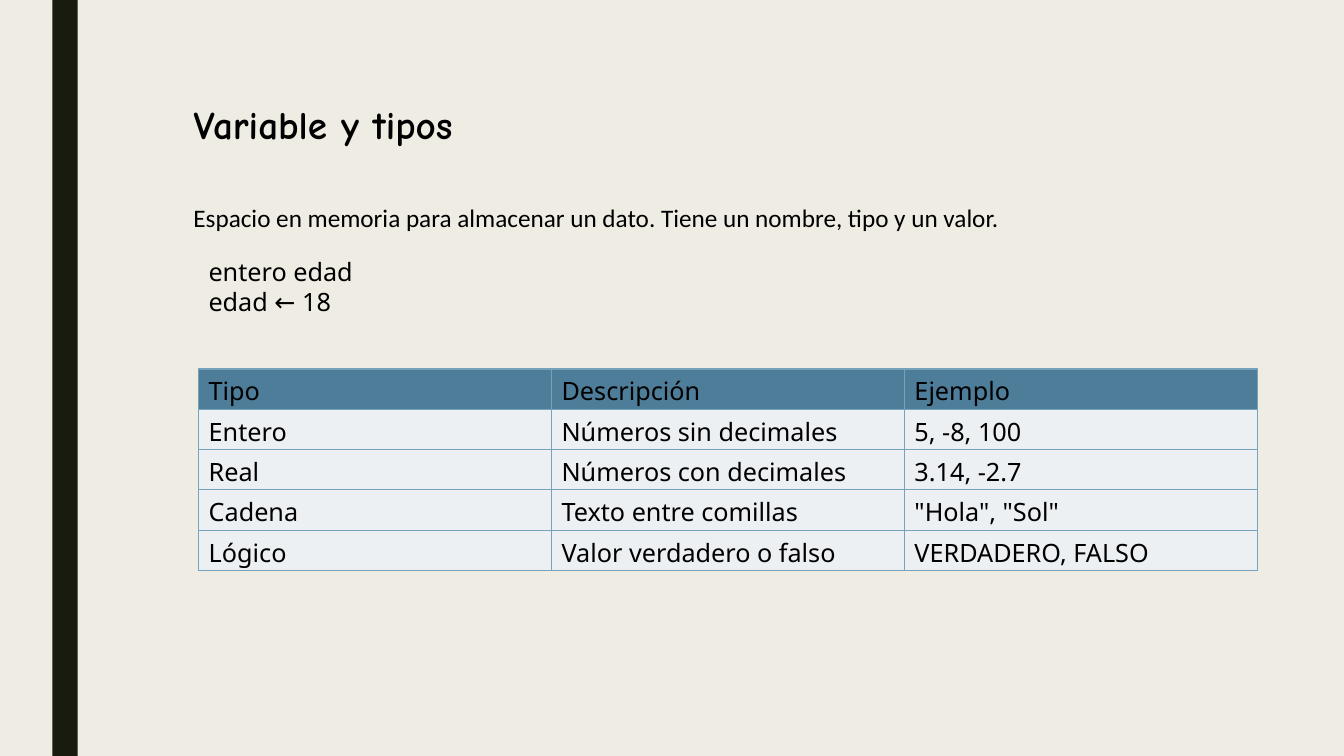
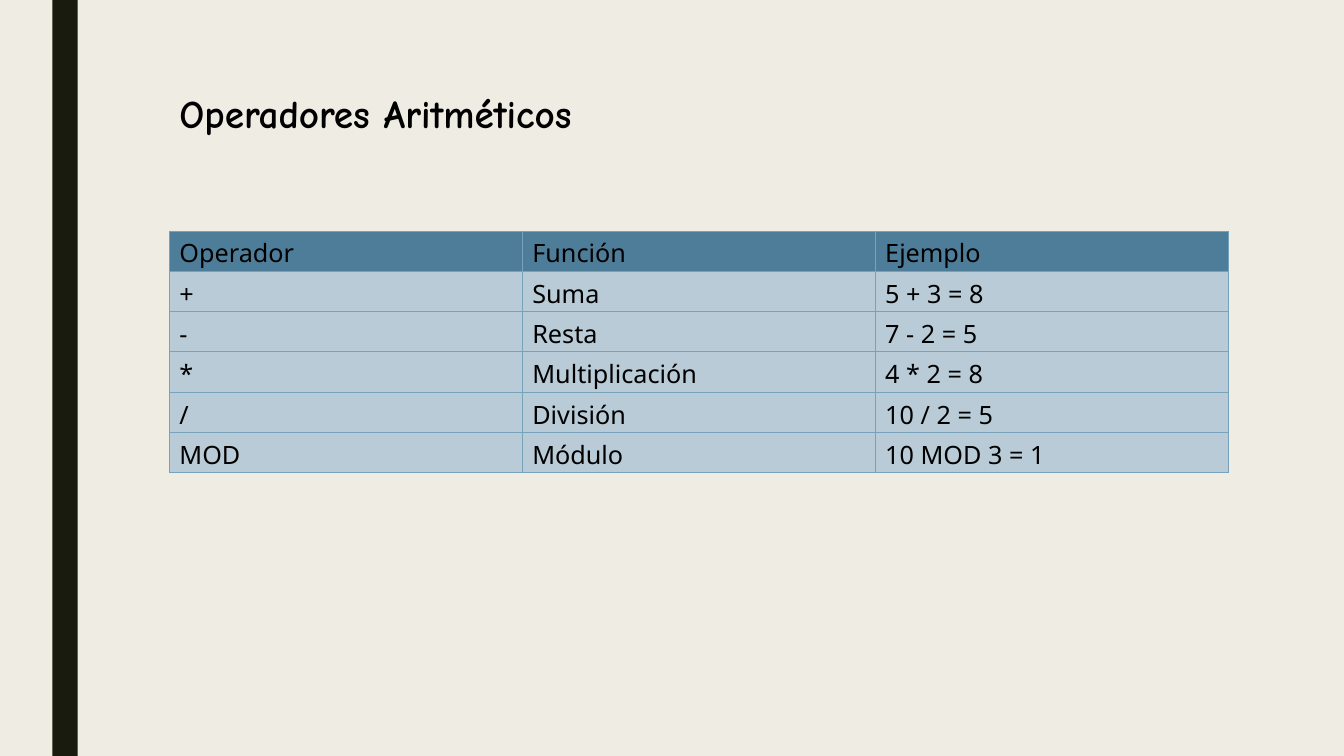
from lxml import etree
from pptx import Presentation
from pptx.dml.color import RGBColor
from pptx.enum.shapes import MSO_SHAPE
from pptx.enum.text import MSO_ANCHOR, PP_ALIGN
from pptx.oxml.ns import qn
from pptx.util import Inches, Pt

RECT = MSO_SHAPE.RECTANGLE
TOP, MIDDLE = MSO_ANCHOR.TOP, MSO_ANCHOR.MIDDLE
LEFT = PP_ALIGN.LEFT

WIDE, HIGH = 13.33, 7.5
COL, ROW = 3.5, 0.4
PAPER, BAND, INK = "EFEDE3", "191B0E", "000000"
HEAD, RULE = "4D7D99", "77A2BB"
PALE, SOFT = "ECF0F3", "B8CBD6"
BODY = "Noto Sans"

TYPES = [
    ("Tipo", "Descripción", "Ejemplo"),
    ("Entero", "Números sin decimales", "5, -8, 100"),
    ("Real", "Números con decimales", "3.14, -2.7"),
    ("Cadena", "Texto entre comillas", '"Hola", "Sol"'),
    ("Lógico", "Valor verdadero o falso", "VERDADERO, FALSO"),
]
SIGNS = [
    ("Operador", "Función", "Ejemplo"),
    ("+", "Suma", "5 + 3 = 8"),
    ("-", "Resta", "7 - 2 = 5"),
    ("*", "Multiplicación", "4 * 2 = 8"),
    ("/", "División", "10 / 2 = 5"),
    ("MOD", "Módulo", "10 MOD 3 = 1"),
]


def paint(fill, shade):
    fill.solid()
    fill.fore_color.rgb = RGBColor.from_string(shade)


def style(par, face=BODY, size=18, bold=False):
    font = par.font
    font.name, font.size, font.bold = face, Pt(size), bold
    font.color.rgb = RGBColor.from_string(INK)
    par.alignment = LEFT


def place(shape, *box):
    shape.left, shape.top, shape.width, shape.height = map(Inches, box)


def dress(master, slide):
    """Give the master its paper colour and side band, drawn first on a slide."""
    paint(master.background.fill, PAPER)
    band = slide.shapes.add_shape(RECT, *map(Inches, (0.52, 0, 0.25, HIGH)))
    band.shadow.inherit = False
    paint(band.fill, BAND)
    band.line.fill.background()
    master.shapes.element.append(band.element)


def add_title(slide, text, x, y):
    title = slide.shapes.title
    place(title, x, y, 7.27, 0.61)
    frame = title.text_frame
    frame.text = text
    frame.vertical_anchor = TOP
    par = frame.paragraphs[0]
    style(par, "Comic Neue", 28, True)
    par.line_spacing, par.space_after = 1.15, Pt(8)


def add_text(slide, lines, box, face=BODY, anchor=TOP):
    frame = slide.shapes.add_textbox(*map(Inches, box)).text_frame
    frame.word_wrap = True
    frame.vertical_anchor = anchor
    frame.text = "\n".join(lines)
    for par in frame.paragraphs:
        style(par, face)


def edge(cell, width):
    """Rule all four sides of a cell; borders must come before its fill."""
    props = cell._tc.get_or_add_tcPr()
    for spot, side in enumerate(("lnL", "lnR", "lnT", "lnB")):
        line = etree.Element(qn("a:" + side), w=str(Pt(width)))
        fill = etree.SubElement(line, qn("a:solidFill"))
        etree.SubElement(fill, qn("a:srgbClr"), val=RULE)
        props.insert(spot, line)


def add_grid(slide, rows, x, y, shade, rule):
    wide, high = len(rows[0]), len(rows)
    box = map(Inches, (x, y, wide * COL, high * ROW))
    table = slide.shapes.add_table(high, wide, *box).table
    table.first_row = table.horz_banding = False
    for r, row in enumerate(rows):
        for c, text in enumerate(row):
            cell = table.cell(r, c)
            cell.text = text
            cell.vertical_anchor = MIDDLE
            cell.margin_top, cell.margin_bottom = Inches(0.04), 0
            style(cell.text_frame.paragraphs[0])
            paint(cell.fill, shade if r else HEAD)
            edge(cell, rule)


def main():
    prs = Presentation()
    prs.slide_width, prs.slide_height = Inches(WIDE), Inches(HIGH)
    plain = prs.slide_layouts[5]
    kinds, maths = [prs.slides.add_slide(plain) for _ in range(2)]
    dress(prs.slide_master, kinds)

    add_title(kinds, "Variable y tipos", 1.82, 0.88)
    add_text(kinds, ["Espacio en memoria para almacenar un dato. "
                     "Tiene un nombre, tipo y un valor."],
             (1.82, 1.96, 9.6, 0.4), "Calibri", MIDDLE)
    add_text(kinds, ["entero edad", "edad ← 18"], (1.97, 2.49, 6.67, 0.71))
    add_grid(kinds, TYPES, 1.97, 3.66, PALE, 1)

    add_title(maths, "Operadores Aritméticos", 1.68, 0.77)
    add_grid(maths, SIGNS, 1.68, 2.29, SOFT, 0.5)
    prs.save("out.pptx")


if __name__ == "__main__":
    main()
